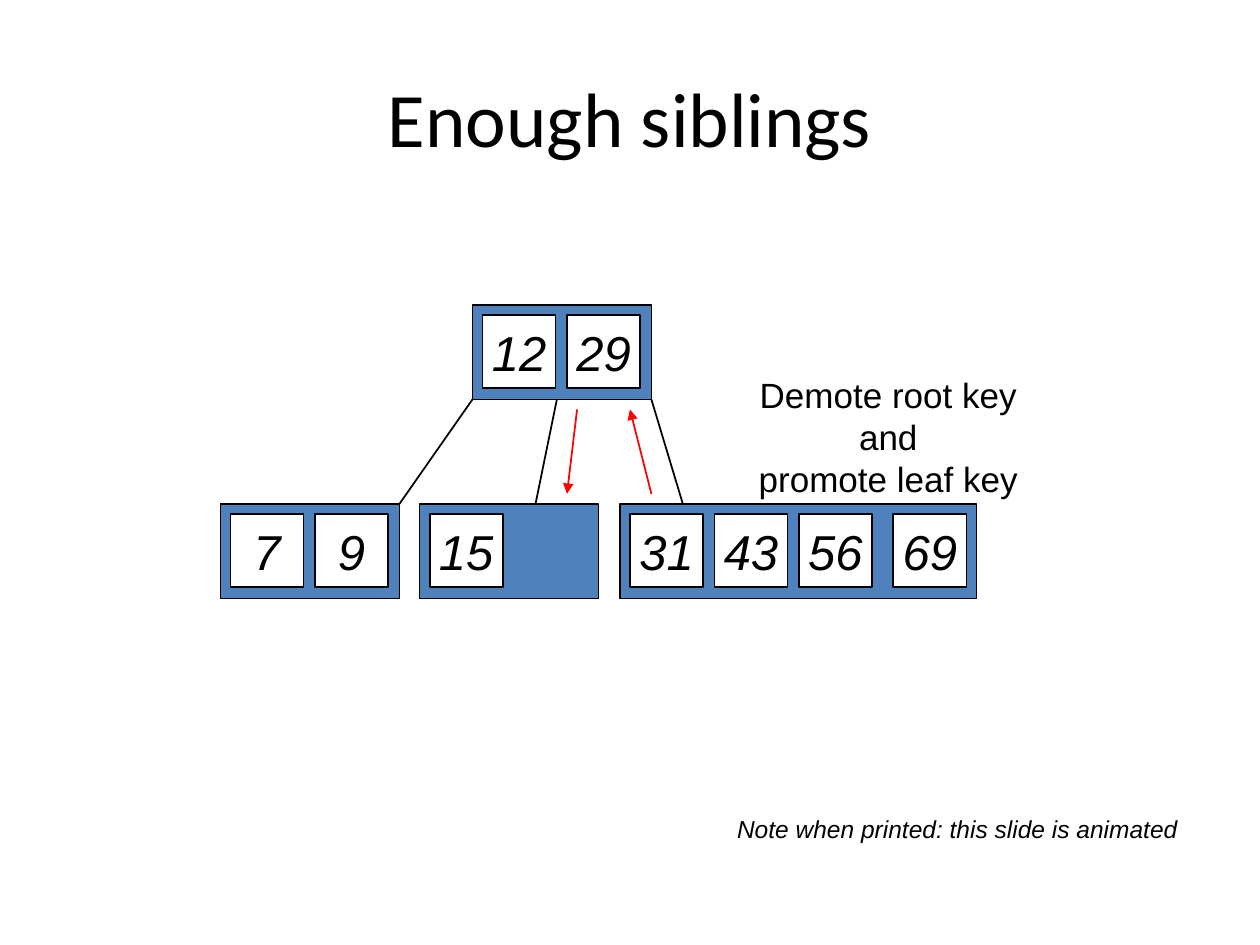
from lxml import etree
from pptx import Presentation
from pptx import util as u
from pptx.dml.color import RGBColor
from pptx.enum import shapes, text
from pptx.oxml import ns

BLACK, WHITE, BLUE, RED = "000000", "FFFFFF", "4F81BD", "FF0000"
KEY_SIZE, KEY_MARGIN, KEY_PITCH = 0.58, 0.08, 0.67
NODE_HEIGHT, NODE_WIDTH = 0.75, 1.42


def color(value):
    return RGBColor.from_string(value)


class TreeSlide:
    font_name = "Arial"
    line_width = u.Pt(1)

    def __init__(self, slide):
        self.slide = slide

    def set_text(self, frame, lines, size, font_name=None, italic=False):
        frame.vertical_anchor = text.MSO_ANCHOR.MIDDLE
        frame.text = "\n".join(lines)
        for paragraph in frame.paragraphs:
            paragraph.alignment = text.PP_ALIGN.CENTER
            paragraph.font.name = font_name or self.font_name
            paragraph.font.size = u.Pt(size)
            paragraph.font.italic = italic
            paragraph.font.color.rgb = color(BLACK)

    def title(self, words):
        shape = self.slide.shapes.title
        shape.left, shape.top = u.Inches(0.5), u.Inches(0.3)
        shape.width, shape.height = u.Inches(9), u.Inches(1.25)
        self.set_text(shape.text_frame, [words], 44, "Calibri")

    def box(self, group, left, top, width, height, fill):
        shape = group.shapes.add_shape(
            shapes.MSO_SHAPE.RECTANGLE,
            u.Inches(left), u.Inches(top), u.Inches(width), u.Inches(height))
        shape.shadow.inherit = False
        shape.fill.solid()
        shape.fill.fore_color.rgb = color(fill)
        shape.line.color.rgb = color(BLACK)
        shape.line.width = self.line_width
        return shape

    def key(self, group, left, top, value):
        shape = self.box(group, left, top, KEY_SIZE, KEY_SIZE, WHITE)
        shape.text_frame.word_wrap = False
        self.set_text(shape.text_frame, [value], 28, italic=True)

    def node(self, left, top, keys, width=NODE_WIDTH, last_key=None):
        group = self.slide.shapes.add_group_shape()
        self.box(group, left, top, width, NODE_HEIGHT, BLUE)
        key_top = top + KEY_MARGIN
        for index, value in enumerate(keys):
            self.key(group, left + KEY_MARGIN + index * KEY_PITCH, key_top, value)
        if last_key:
            self.key(group, left + width - KEY_MARGIN - KEY_SIZE, key_top, last_key)

    def line(self, start, end, stroke=BLACK, arrow=False):
        connector = self.slide.shapes.add_connector(
            shapes.MSO_CONNECTOR.STRAIGHT,
            *(u.Inches(value) for value in (*start, *end)))
        connector.line.color.rgb = color(stroke)
        connector.line.width = self.line_width
        properties = connector._element.spPr
        if arrow:
            outline = properties.find(ns.qn("a:ln"))
            etree.SubElement(outline, ns.qn("a:tailEnd"), type="triangle")
        etree.SubElement(properties, ns.qn("a:effectLst"))

    def label(self, left, top, width, height, lines, size, italic=False):
        shape = self.slide.shapes.add_textbox(
            u.Inches(left), u.Inches(top), u.Inches(width), u.Inches(height))
        frame = shape.text_frame
        frame.word_wrap = False
        frame.auto_size = text.MSO_AUTO_SIZE.SHAPE_TO_FIT_TEXT
        self.set_text(frame, lines, size, italic=italic)


def main():
    presentation = Presentation()
    presentation.slide_width = u.Inches(10)
    presentation.slide_height = u.Inches(7.5)
    tree = TreeSlide(presentation.slides.add_slide(presentation.slide_layouts[5]))

    tree.title("Enough siblings")

    root_top, leaf_top = 2.42, 4
    root_bottom = root_top + NODE_HEIGHT
    tree.node(3.75, root_top, ["12", "29"])
    tree.node(1.75, leaf_top, ["7", "9"])
    tree.node(3.33, leaf_top, ["15"])
    for root_x, leaf_x in [(3.75, 3.17), (4.42, 4.25), (5.17, 5.42)]:
        tree.line((root_x, root_bottom), (leaf_x, leaf_top))
    tree.node(4.92, leaf_top, ["31", "43", "56"], width=2.83, last_key="69")

    tree.line((5.17, 3.92), (5, 3.25), RED, arrow=True)
    tree.line((4.58, 3.25), (4.5, 3.92), RED, arrow=True)

    tree.label(5.66, 3.08, 2.78, 0.77, ["Demote root key and", "promote leaf key"], 20)
    tree.label(5.75, 6.41, 3.7, 0.34,
               ["Note when printed: this slide is animated"], 14, italic=True)

    presentation.save("out.pptx")


if __name__ == "__main__":
    main()
